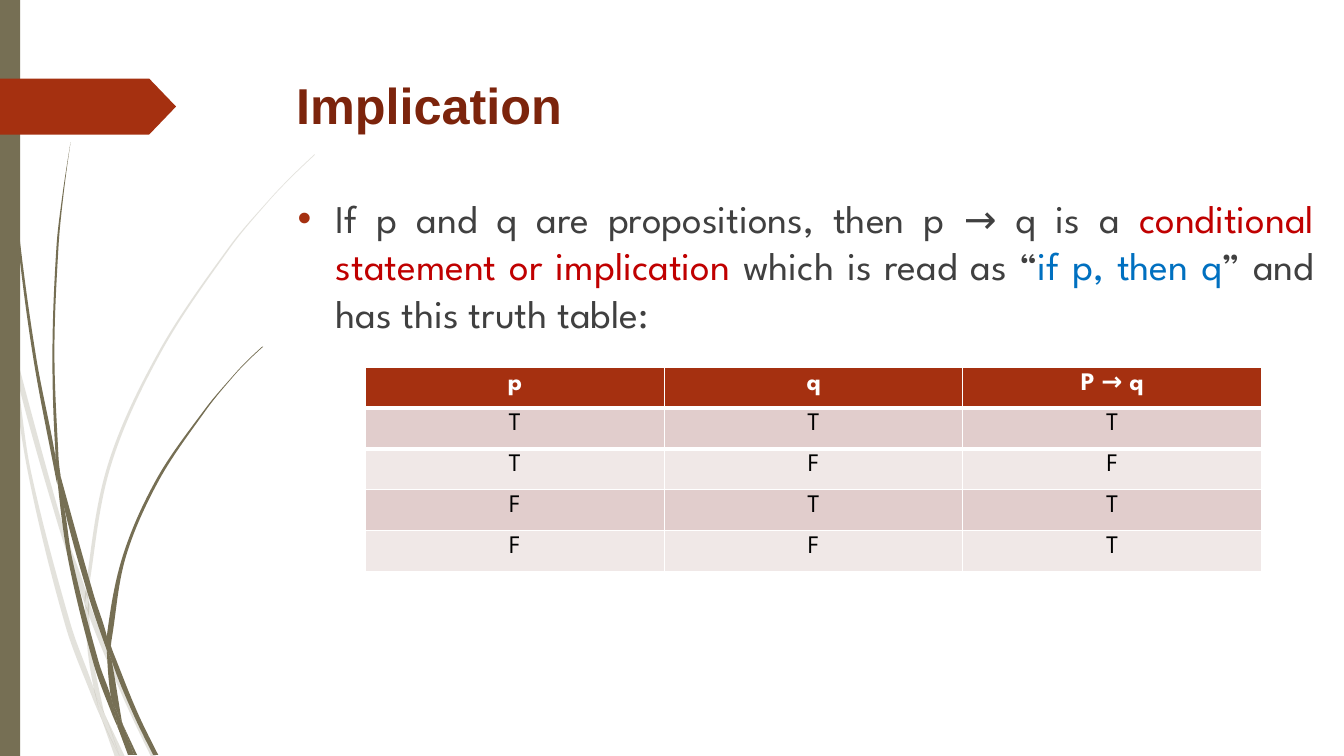
from lxml.etree import SubElement
from pptx import Presentation
from pptx.dml.color import RGBColor
from pptx.enum.shapes import MSO_SHAPE
from pptx.enum.text import MSO_ANCHOR, PP_ALIGN
from pptx.oxml.ns import qn
from pptx.util import Inches, Pt

THEME = {
    "olive": "766F54", "rust": "A53010", "title": "7C240C", "body": "404040",
    "red": "C00000", "blue": "0070C0", "white": "FFFFFF", "black": "000000",
    "bands": ("F0E8E7", "E1CDCC"), "pale_alpha": 20,
    "title_font": "Arial", "body_font": "League Spartan",
    "title_size": 36, "body_size": 28, "table_size": 18,
}

presentation = Presentation()
presentation.slide_width = Inches(13.33)
presentation.slide_height = Inches(7.5)
WIDTH, HEIGHT = presentation.slide_width, presentation.slide_height
slide = presentation.slides.add_slide(presentation.slide_layouts[6])


def write(frame, runs, font, size, bold=False, align=PP_ALIGN.LEFT, bullet=None):
    frame.word_wrap = True
    paragraph = frame.paragraphs[0]
    paragraph.alignment = align
    if bullet:
        properties = paragraph._p.get_or_add_pPr()
        properties.set("marL", str(Inches(0.38)))
        properties.set("indent", str(-Inches(0.38)))
        color = SubElement(properties, qn("a:buClr"))
        SubElement(color, qn("a:srgbClr"), val=bullet)
        SubElement(properties, qn("a:buFont"), typeface="Arial")
        SubElement(properties, qn("a:buChar"), char="•")
    for text, color in runs:
        run = paragraph.add_run()
        run.text = text
        run.font.name = font
        run.font.size = Pt(size)
        run.font.bold = bold
        run.font.color.rgb = RGBColor.from_string(color)


def curve(edge):
    secants = [(x1 - x0) / (y1 - y0) for (x0, y0), (x1, y1) in zip(edge, edge[1:])]
    middle = [(after[0] - before[0]) / (after[1] - before[1])
              for before, after in zip(edge, edge[2:])]
    first = 1.5 * secants[0] - 0.5 * (middle or secants)[0]
    last = 1.5 * secants[-1] - 0.5 * (middle or secants)[-1]
    slopes = [first, *middle, last]
    points = []
    for index, ((x0, y0), (x1, y1)) in enumerate(zip(edge, edge[1:])):
        third = (y1 - y0) / 3
        points += [(x0 + slopes[index] * third, y0 + third),
                   (x1 - slopes[index + 1] * third, y1 - third), (x1, y1)]
    return points


pale_blades = [
    ([(0, 282), (0, 299), (10, 344), (11, 350)], [(0, 282), (9, 322), (11, 350)]),
    ([(14, 345), (17, 376), (58, 522), (84, 599)],
     [(14, 345), (62, 520), (85, 586), (84, 599)]),
    ([(88, 596), (88, 610), (123, 694), (150, 751)],
     [(88, 596), (92, 607), (127, 692), (155, 751)]),
    ([(105, 711), (119, 751)], [(105, 711), (124, 751)]),
    ([(11, 350), (28, 470), (65, 621), (92, 693), (101, 714)],
     [(11, 350), (17, 376), (31, 469), (70, 619), (93, 683), (99, 707), (101, 714)]),
    ([(84, 599), (87, 646), (93, 683), (96, 692), (105, 711)],
     [(84, 599), (88, 608), (91, 646), (103, 706), (105, 711)]),
    ([(312, 153), (289, 175), (268, 197), (228, 244), (158, 348), (107, 461),
      (85, 584), (88, 596)],
     [(312, 154), (290, 175), (268, 198), (229, 245), (160, 349), (110, 462),
      (88, 584), (88, 596)]),
    ([(101, 714), (114, 751)], [(101, 714), (119, 751)]),
    ([(85, 586), (84, 599), (88, 608)], [(85, 586), (88, 596), (88, 610)]),
    ([(93, 683), (99, 707), (101, 714), (119, 751)],
     [(93, 683), (96, 692), (105, 711), (119, 751)]),
]
dark_blades = [
    ([(3, 0), (4, 48), (7, 110), (17, 233), (33, 355), (56, 477), (57, 481)],
     [(4, 0), (5, 48), (8, 109), (19, 232), (36, 355), (55, 453), (57, 481)]),
    ([(60, 472), (64, 505), (88, 592), (106, 645)],
     [(60, 472), (93, 590), (106, 631), (106, 645)]),
    ([(110, 641), (111, 656), (132, 708), (152, 749)],
     [(110, 641), (113, 649), (136, 706), (157, 749)]),
    ([(57, 477), (68, 557), (93, 659), (111, 708), (117, 722)],
     [(57, 477), (64, 505), (72, 556), (98, 657), (110, 691), (117, 722)]),
    ([(70, 141), (62, 193), (56, 245), (52, 349), (55, 449), (60, 472)],
     [(70, 141), (63, 193), (58, 245), (54, 349), (58, 453), (60, 472)]),
    ([(122, 719), (133, 749)], [(122, 719), (136, 749)]),
    ([(55, 449), (55, 453), (57, 477), (64, 505)], [(55, 449), (60, 472), (64, 505)]),
    ([(260, 344), (245, 358), (231, 373), (204, 405), (156, 474), (122, 551),
      (106, 631), (110, 641)],
     [(261, 344), (245, 359), (231, 374), (205, 406), (158, 476), (125, 552),
      (111, 633), (110, 641)]),
    ([(117, 722), (127, 749)], [(117, 722), (131, 749)]),
    ([(106, 645), (110, 691), (116, 706), (122, 719)],
     [(106, 645), (109, 651), (111, 656), (121, 716), (122, 719)]),
    ([(106, 631), (106, 645), (109, 651), (111, 656)],
     [(106, 631), (110, 641), (111, 656)]),
    ([(110, 691), (116, 717), (117, 722), (130, 749)],
     [(110, 691), (116, 706), (122, 719), (133, 749)]),
]
for blades, alpha in [(pale_blades, THEME["pale_alpha"]), (dark_blades, 100)]:
    for left_edge, right_edge in blades:
        foot = right_edge[-1]
        turn = [] if left_edge[-1] == foot else [foot] * 3
        outline = [left_edge[0], *curve(left_edge), *turn, *curve(right_edge[::-1])]
        outline = [(Inches(x / 100), Inches(y / 100)) for x, y in outline]
        builder = slide.shapes.build_freeform(*outline[0])
        builder.add_line_segments(outline[1:], close=True)
        blade = builder.convert_to_shape()
        lines = list(blade._element.iter(qn("a:lnTo")))
        for start in range(0, len(lines), 3):
            bezier = lines[start].makeelement(qn("a:cubicBezTo"))
            lines[start].addprevious(bezier)
            for line in lines[start:start + 3]:
                bezier.append(line[0])
                line.getparent().remove(line)
        blade.shadow.inherit = False
        blade.fill.solid()
        blade.fill.fore_color.rgb = RGBColor.from_string(THEME["olive"])
        blade.line.fill.background()
        if alpha < 100:
            color = blade._element.spPr.find(qn("a:solidFill"))[0]
            SubElement(color, qn("a:alpha"), val=str(alpha * 1000))

for kind, top, width, height, color in [
    (MSO_SHAPE.RECTANGLE, 0, 0.015, 1, "olive"),
    (MSO_SHAPE.PENTAGON, 0.104, 0.131, 0.074, "rust"),
]:
    shape = slide.shapes.add_shape(
        kind, 0, int(HEIGHT * top), int(WIDTH * width), int(HEIGHT * height))
    shape.shadow.inherit = False
    shape.fill.solid()
    shape.fill.fore_color.rgb = RGBColor.from_string(THEME[color])
    shape.line.fill.background()
shape.adjustments[0] = 0.48

title = slide.shapes.add_textbox(
    int(WIDTH * 0.213), int(HEIGHT * 0.091), int(WIDTH * 0.73), int(HEIGHT * 0.187))
write(title.text_frame, [("Implication", THEME["title"])],
      font=THEME["title_font"], size=THEME["title_size"], bold=True)

body = slide.shapes.add_textbox(
    int(WIDTH * 0.214), int(HEIGHT * 0.251), int(WIDTH * 0.771), int(HEIGHT * 0.55))
statement = [
    ("If p and q are propositions, then p → q is a ", THEME["body"]),
    ("conditional statement or implication ", THEME["red"]),
    ("which is read as “", THEME["body"]),
    ("if p, then q", THEME["blue"]),
    ("” and has this truth table:", THEME["body"]),
]
write(body.text_frame, statement, font=THEME["body_font"], size=THEME["body_size"],
      align=PP_ALIGN.JUSTIFY, bullet=THEME["rust"])

truth_table = [("p", "q", "P → q"), "TTT", "TFF", "FTT", "FFT"]
table = slide.shapes.add_table(
    len(truth_table), 3, int(WIDTH * 0.272), int(HEIGHT * 0.486),
    int(WIDTH * 2 / 3), int(HEIGHT * 0.27)).table
for row, values in enumerate(truth_table):
    header = row == 0
    for column, value in enumerate(values):
        cell = table.cell(row, column)
        cell.vertical_anchor = MSO_ANCHOR.TOP
        if row < 2:
            side = "a:lnB" if header else "a:lnT"
            border = SubElement(cell._tc.get_or_add_tcPr(), qn(side), w=str(Pt(3)))
            SubElement(SubElement(border, qn("a:solidFill")), qn("a:srgbClr"), val=THEME["white"])
        cell.fill.solid()
        cell.fill.fore_color.rgb = RGBColor.from_string(
            THEME["rust"] if header else THEME["bands"][row % 2])
        write(cell.text_frame, [(value, THEME["white" if header else "black"])],
              font=THEME["body_font"], size=THEME["table_size"], bold=header,
              align=PP_ALIGN.CENTER)

presentation.save("out.pptx")
